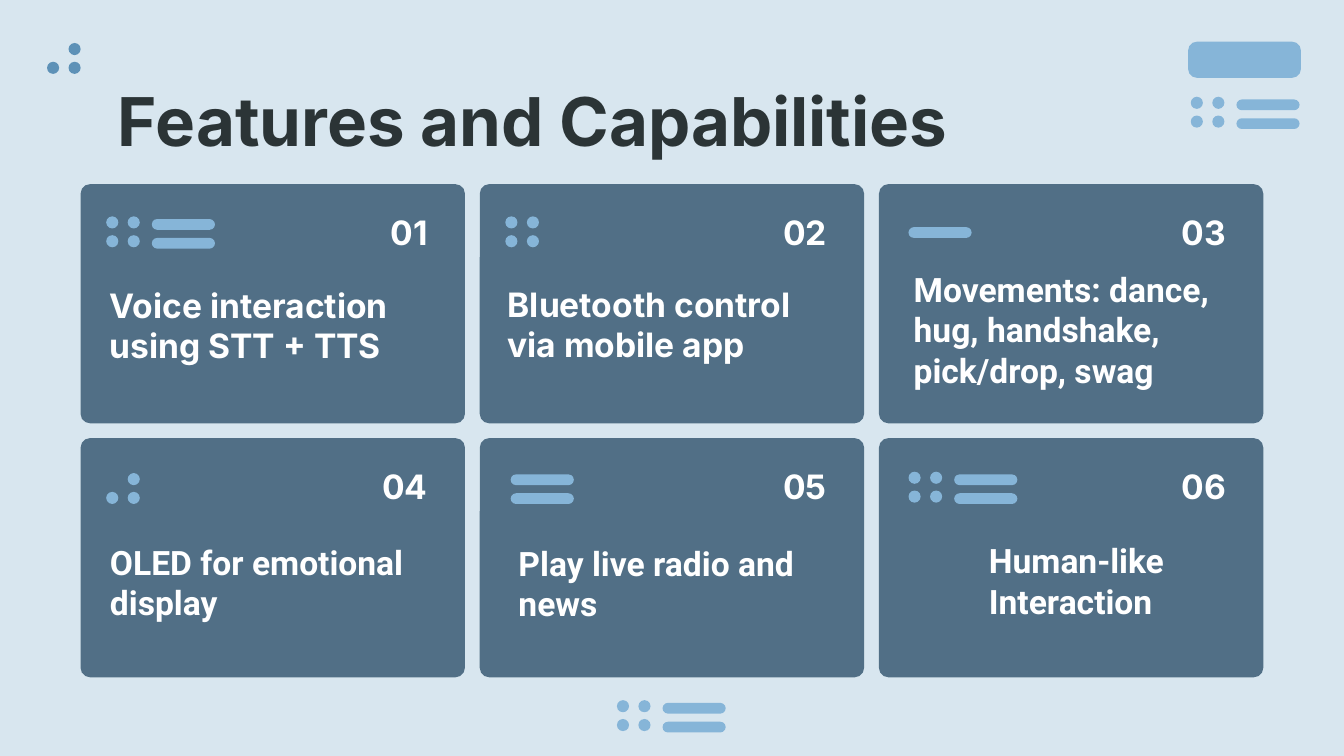
from pptx import Presentation
from pptx.dml.color import RGBColor
from pptx.enum import shapes, text
from pptx.util import Inches, Pt

BG, CARD, LIGHT, MID = "D8E6EF", "516F86", "86B5D8", "5D91B7"
INK, WHITE = "2B3436", "FFFFFF"
TOP, BOTTOM = text.MSO_ANCHOR.TOP, text.MSO_ANCHOR.BOTTOM
LEFT, RIGHT = text.PP_ALIGN.LEFT, text.PP_ALIGN.RIGHT

# Content: text, font, anchor, text box (left, top, width, height)
FEATURES = [
    ("Voice interaction using STT + TTS", "Inter", TOP, (0.72, 2.02, 2.63, 0.8)),
    ("Bluetooth control via mobile app", "Inter", BOTTOM, (3.68, 2.02, 2.63, 0.79)),
    ("Movements: dance, hug, handshake, pick/drop, swag", "Roboto", TOP, (6.7, 1.9, 2.63, 1.01)),
    ("OLED for emotional display", "Roboto", TOP, (0.72, 3.93, 2.63, 0.67)),
    ("Play live radio and news", "Roboto", TOP, (3.76, 3.94, 2.63, 0.67)),
    ("Human-like Interaction", "Roboto", TOP, (7.26, 3.92, 2.63, 0.67)),
]

# Icons: dots as (column, row), bars as (x, y) offsets
GRID = [(0, 0), (1, 0), (0, 1), (1, 1)]
CORNER = [(1, 0), (0, 1), (1, 1)]
PAIR = [(0, 0), (0, 0.14)]
SIDE_PAIR = [(0.34, 0.02), (0.34, 0.16)]
ICONS = [  # left, top, dots, bars, colour
    (8.86, 0.72, GRID, SIDE_PAIR, LIGHT),
    (0.35, 0.32, CORNER, [], MID),
    (4.59, 5.21, GRID, SIDE_PAIR, LIGHT),
    (0.79, 1.61, GRID, SIDE_PAIR, LIGHT),
    (3.76, 1.61, GRID, [], LIGHT),
    (6.76, 1.69, [], [(0, 0)], LIGHT),
    (0.79, 3.52, CORNER, [], LIGHT),
    (3.8, 3.53, [], PAIR, LIGHT),
    (6.76, 3.51, GRID, SIDE_PAIR, LIGHT),
]

# A 16:9 slide
prs = Presentation()
prs.slide_width, prs.slide_height = Inches(10), Inches(10 * 9 / 16)
s = prs.slides.add_slide(prs.slide_layouts[6])


def color(value):
    return RGBColor.from_string(value)


def add_shape(kind, box, fill, adj=None):
    sp = s.shapes.add_shape(kind, *map(Inches, box))
    sp.shadow.inherit = False
    sp.fill.solid()
    sp.fill.fore_color.rgb = color(fill)
    sp.line.fill.background()
    if adj is not None:
        sp.adjustments[0] = adj


def add_text(words, box, font="Inter", size=18, ink=WHITE, anchor=TOP, align=LEFT):
    tf = s.shapes.add_textbox(*map(Inches, box)).text_frame
    margins = {f"margin_{side}": Inches(0.1) for side in ("left", "top", "right", "bottom")}
    for name, value in {"word_wrap": True, "vertical_anchor": anchor, **margins}.items():
        setattr(tf, name, value)
    p = tf.paragraphs[0]
    p.alignment = align
    r = p.add_run()
    r.text = words
    for name, value in {"name": font, "size": Pt(size), "bold": True}.items():
        setattr(r.font, name, value)
    r.font.color.rgb = color(ink)


# Background and title
s.background.fill.solid()
s.background.fill.fore_color.rgb = color(BG)
add_text("Features and Capabilities", (0.78, 0.49, 8.44, 0.81), size=36, ink=INK)

# Cards in a 3 x 2 grid, each with its number and text
ROUND = shapes.MSO_SHAPE.ROUNDED_RECTANGLE
for i, (words, font, anchor, box) in enumerate(FEATURES):
    row, col = divmod(i, 3)
    x, y = 0.6 + 2.97 * col, 1.37 + 1.89 * row
    add_shape(ROUND, (x, y, 2.86, 1.78), CARD, 0.04)
    add_text(f"{i + 1:02}", (x + 1.86, y, 0.82, 0.61), anchor=BOTTOM, align=RIGHT)
    add_text(words, box, font, anchor=anchor)

# Corner block, then dot and bar icons
add_shape(ROUND, (8.84, 0.31, 0.84, 0.27), LIGHT, 0.25)
for x, y, dots, bars, fill in ICONS:
    for col, row in dots:
        add_shape(shapes.MSO_SHAPE.OVAL, (x + 0.16 * col, y + 0.14 * row, 0.09, 0.09), fill)
    for dx, dy in bars:
        add_shape(ROUND, (x + dx, y + dy, 0.47, 0.08), fill, 0.5)

prs.save("out.pptx")
